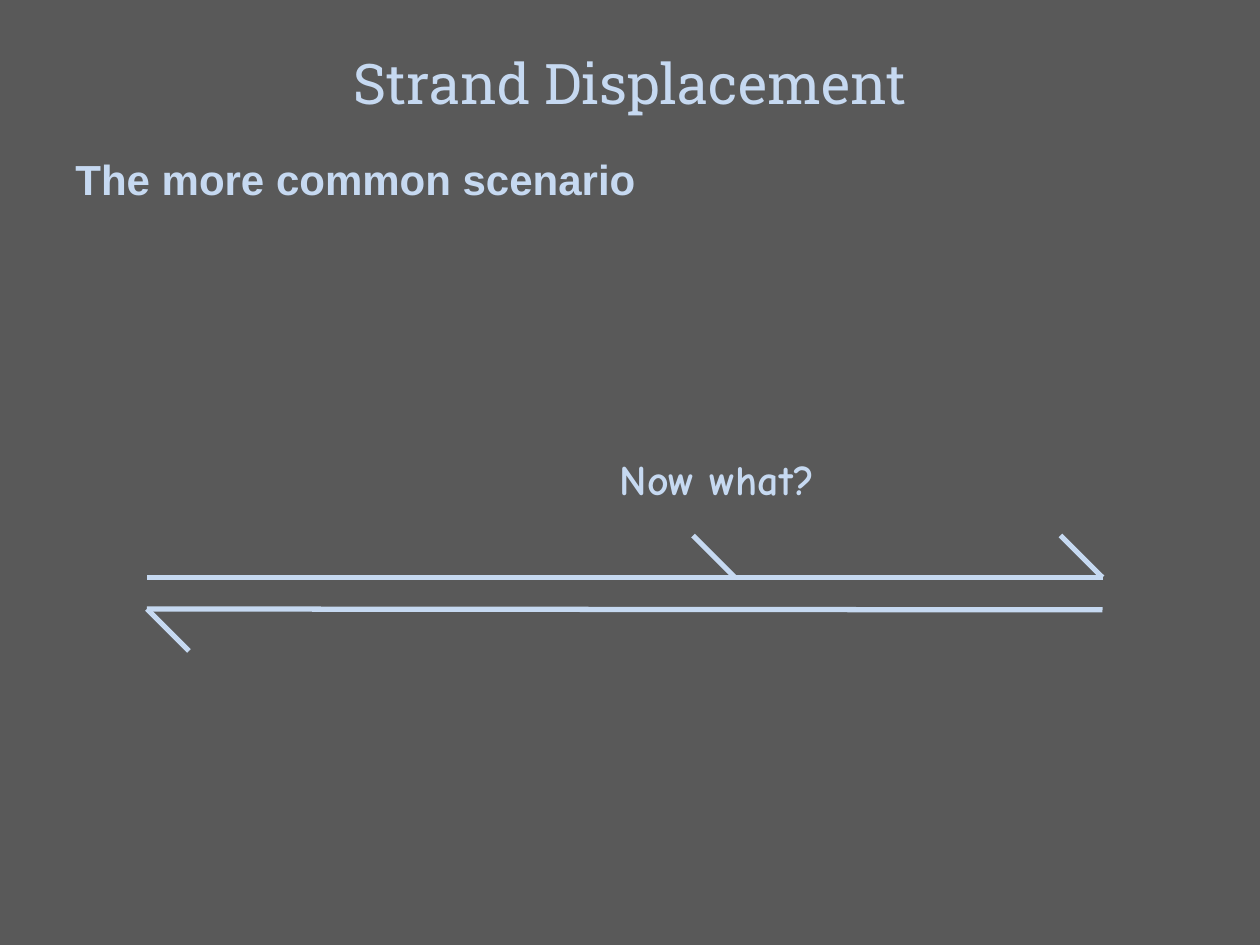
from pptx import Presentation
from pptx.dml.color import RGBColor
from pptx.enum.shapes import MSO_CONNECTOR
from pptx.enum.text import MSO_ANCHOR, PP_ALIGN
from pptx.oxml.ns import qn
from pptx.util import Pt
from lxml import etree

STRAIGHT = MSO_CONNECTOR.STRAIGHT
TOP = MSO_ANCHOR.TOP
LEFT, CENTER = PP_ALIGN.LEFT, PP_ALIGN.CENTER
TITLE_ONLY = 5


def color(value):
    return RGBColor.from_string(value)


class StrandSlide:
    ink = "C6D9F1"
    background = "595959"
    line_width = 3

    def __init__(self, deck):
        self.page = deck.slides.add_slide(deck.slide_layouts[TITLE_ONLY])
        fill = self.page.background.fill
        fill.solid()
        fill.fore_color.rgb = color(self.background)

    def set_text(self, box, text, font, size, bold, align, wrap):
        frame = box.text_frame
        frame.word_wrap = wrap
        frame.vertical_anchor = TOP
        para = frame.paragraphs[0]
        para.text = text
        para.alignment = align
        para.font.name = font
        para.font.size = Pt(size)
        para.font.bold = bold
        para.font.color.rgb = color(self.ink)

    def title(self, text, left, top, width, height):
        box = self.page.shapes.title
        box.left, box.top = Pt(left), Pt(top)
        box.width, box.height = Pt(width), Pt(height)
        self.set_text(box, text, "Roboto Slab", 32, False, CENTER, True)

    def text(self, text, left, top, width, height, font, wrap=True):
        box = self.page.shapes.add_textbox(Pt(left), Pt(top), Pt(width), Pt(height))
        self.set_text(box, text, font, 24, True, LEFT, wrap)

    def line(self, start_x, start_y, end_x, end_y):
        line = self.page.shapes.add_connector(
            STRAIGHT, Pt(start_x), Pt(start_y), Pt(end_x), Pt(end_y))
        line.line.color.rgb = color(self.ink)
        line.line.width = Pt(self.line_width)
        etree.SubElement(line._element.spPr, qn("a:effectLst"))

    def strand(self, start_x, end_x, y, barb, drop=0):
        """Draw a strand from its tail to its half-arrow tip."""
        self.line(end_x, y, start_x, y + drop)
        side = 1 if start_x > end_x else -1
        self.line(end_x, y, end_x + side * barb, y + side * barb)


def main():
    deck = Presentation()
    deck.slide_width, deck.slide_height = Pt(720), Pt(540)
    slide = StrandSlide(deck)

    # Headings
    slide.title("Strand Displacement", 0, 24, 720, 46)
    slide.text("The more common scenario", 36, 84, 624, 36, "Arial")

    # Lower strand, then the two upper strands meeting at the nick
    left, nick, right = 84, 420, 630
    upper, lower, barb = 330, 348, 24
    slide.strand(right, left, lower, barb, drop=0.5)
    slide.strand(nick, right, upper, barb)
    slide.strand(left, nick, upper, barb)

    # Question above the nick
    slide.text("Now what?", 347, 255.6, 159, 36, "Comic Neue", wrap=False)

    deck.save("out.pptx")


if __name__ == "__main__":
    main()
